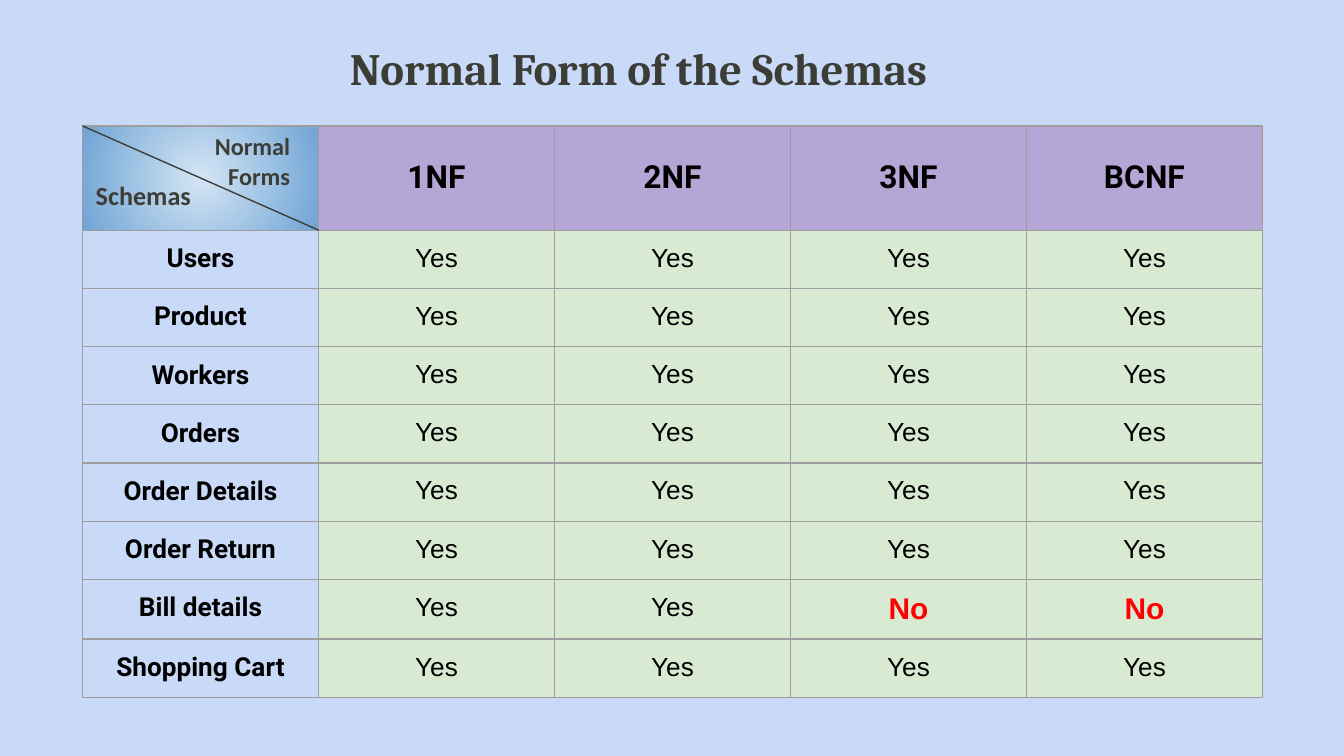
from lxml import etree
from pptx import Presentation
from pptx.dml.color import RGBColor
from pptx.enum.shapes import MSO_CONNECTOR as Connector
from pptx.enum.text import MSO_ANCHOR as Anchor, MSO_AUTO_SIZE as AutoSize, PP_ALIGN as Align
from pptx.oxml import parse_xml
from pptx.oxml.ns import nsdecls, qn
from pptx.util import Cm, Pt

COLORS = {
    "background": "C9DAF8", "header": "B4A7D6", "result": "D9EAD3",
    "border": "9E9E9E", "dark": "3C3D36", "black": "000000", "red": "FF0000",
    "corner_center": "D4E5F5", "corner_edge": "70A4D5",
}
INSET = Cm(0.25)
TABLE_LEFT, TABLE_TOP = Cm(1.56), Cm(2.38)
COLUMN_WIDTH, HEADER_HEIGHT = Cm(4.46), Cm(1.97)
ROW_HEIGHT, BILL_ROW_HEIGHT = Cm(1.1), Cm(1.13)

FORMS = ["1NF", "2NF", "3NF", "BCNF"]
SCHEMAS = ["Users", "Product", "Workers", "Orders", "Order Details",
           "Order Return", "Bill details", "Shopping Cart"]
FAILURES = {("Bill details", "3NF"), ("Bill details", "BCNF")}


def write(frame, text, size, font, color, bold=True, align=Align.CENTER):
    """Put one formatted run in the first paragraph of a text frame."""
    frame.margin_left = frame.margin_right = INSET
    frame.margin_top = frame.margin_bottom = INSET
    frame.word_wrap = True
    paragraph = frame.paragraphs[0]
    paragraph.alignment = align
    run = paragraph.add_run()
    run.text = text
    run.font.size = Pt(size)
    run.font.name = font
    run.font.bold = bold
    run.font.color.rgb = RGBColor.from_string(COLORS[color])
    return paragraph


def fill_cell(cell, color, text, size, font="Roboto", text_color="black", bold=True):
    """Fill a table cell and write its centred text."""
    cell.fill.solid()
    cell.fill.fore_color.rgb = RGBColor.from_string(COLORS[color])
    paragraph = write(cell.text_frame, text, size, font, text_color, bold)
    cell.margin_left = cell.margin_right = INSET
    cell.margin_top = cell.margin_bottom = INSET
    return paragraph


presentation = Presentation()
presentation.slide_width, presentation.slide_height = Cm(25.4), Cm(14.29)
slide = presentation.slides.add_slide(presentation.slide_layouts[5])
slide.background.fill.solid()
slide.background.fill.fore_color.rgb = RGBColor.from_string(COLORS["background"])

# Title
title = slide.shapes.title
title.left, title.top, title.width, title.height = Cm(6.36), Cm(0.51), Cm(18), Cm(1.4)
title.text_frame.auto_size = AutoSize.NONE
title.text_frame.vertical_anchor = Anchor.TOP
write(title.text_frame, "Normal Form of the Schemas", 24, "Cambria", "dark", align=Align.LEFT)

# Table grid
heights = [HEADER_HEIGHT] + [
    BILL_ROW_HEIGHT if schema == "Bill details" else ROW_HEIGHT for schema in SCHEMAS]
table = slide.shapes.add_table(
    len(heights), len(FORMS) + 1, TABLE_LEFT, TABLE_TOP,
    COLUMN_WIDTH * (len(FORMS) + 1), sum(heights)).table
table.first_row = table.horz_banding = False
for column in table.columns:
    column.width = COLUMN_WIDTH
for row, height in zip(table.rows, heights):
    row.height = height

# Header row
for column, form in enumerate(FORMS, 1):
    cell = table.cell(0, column)
    fill_cell(cell, "header", form, 17)
    cell.vertical_anchor = Anchor.MIDDLE

# Schema rows
for row, schema in enumerate(SCHEMAS, 1):
    fill_cell(table.cell(row, 0), "background", schema, 14).space_after = Pt(10)
    for column, form in enumerate(FORMS, 1):
        cell = table.cell(row, column)
        if (schema, form) in FAILURES:
            paragraph = fill_cell(cell, "result", "No", 16, "Arial", "red")
        else:
            paragraph = fill_cell(cell, "result", "Yes", 14, "Arial", bold=False)
        paragraph.space_after = Pt(10)

# Radial gradient of the corner cell
table.cell(0, 0)._tc.get_or_add_tcPr().append(parse_xml(
    f'<a:gradFill {nsdecls("a")}><a:gsLst>'
    f'<a:gs pos="0"><a:srgbClr val="{COLORS["corner_center"]}"/></a:gs>'
    f'<a:gs pos="100000"><a:srgbClr val="{COLORS["corner_edge"]}"/></a:gs></a:gsLst>'
    '<a:path path="circle"><a:fillToRect l="50000" t="50000" r="50000" b="50000"/></a:path>'
    '</a:gradFill>'))

# Cell borders
for cell in table.iter_cells():
    properties = cell._tc.get_or_add_tcPr()
    for position, side in enumerate(["lnL", "lnR", "lnT", "lnB"]):
        properties.insert(position, parse_xml(
            f'<a:{side} {nsdecls("a")} w="{Pt(0.75)}"><a:solidFill>'
            f'<a:srgbClr val="{COLORS["border"]}"/></a:solidFill></a:{side}>'))

# Diagonal of the corner cell
diagonal = slide.shapes.add_connector(
    Connector.STRAIGHT, TABLE_LEFT, TABLE_TOP,
    TABLE_LEFT + COLUMN_WIDTH, TABLE_TOP + HEADER_HEIGHT)
diagonal.line.color.rgb = RGBColor.from_string(COLORS["dark"])
diagonal.line.width = Pt(0.75)
etree.SubElement(diagonal._element.spPr, qn("a:effectLst"))

# Corner labels
forms_label = slide.shapes.add_textbox(Cm(3.63), Cm(2.24), Cm(2.54), Cm(1.24))
write(forms_label.text_frame, "Normal Forms", 13, "Calibri", "dark", align=Align.RIGHT)
forms_label.text_frame.margin_right = Cm(0.69)
schemas_label = slide.shapes.add_textbox(TABLE_LEFT, Cm(3.15), Cm(2.87), Cm(0.74))
write(schemas_label.text_frame, "Schemas", 14, "Calibri", "dark", align=Align.LEFT)

presentation.save("out.pptx")
